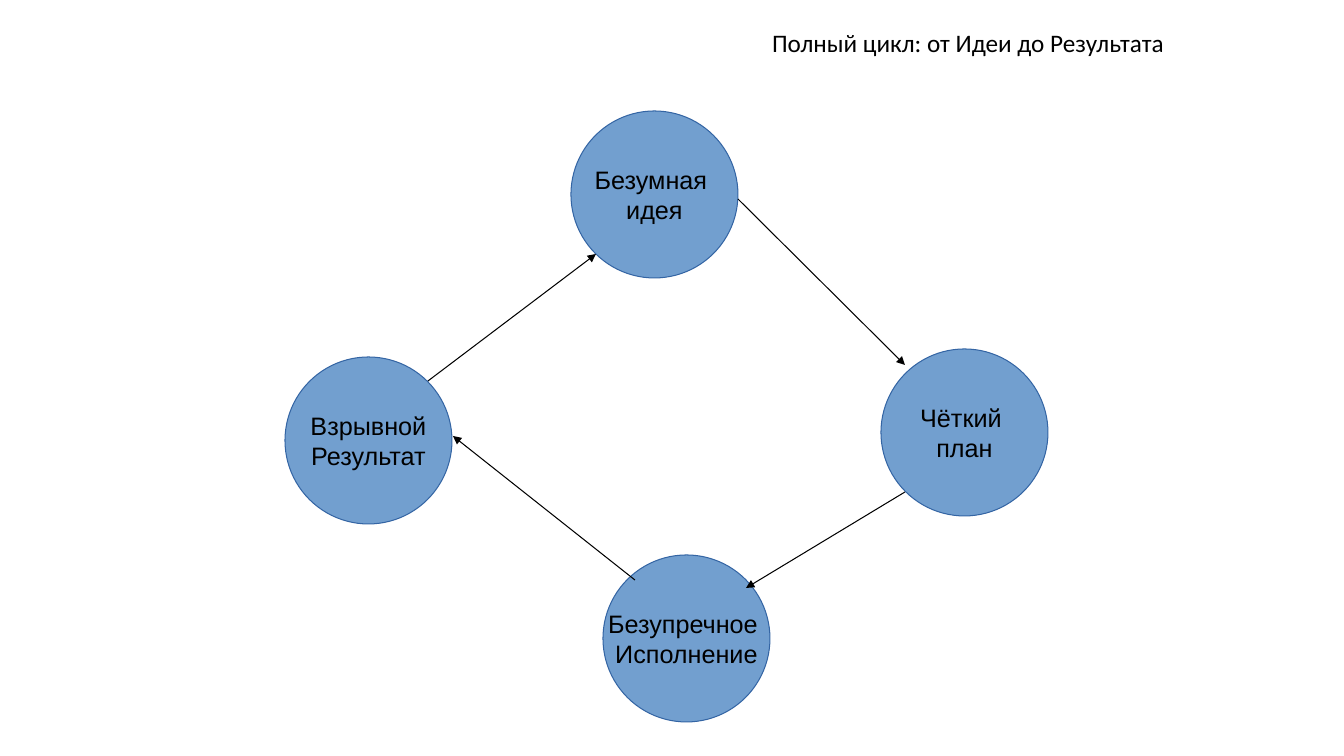
"""Builds a slide with the four-step cycle from idea to result."""
from lxml.etree import SubElement
from pptx import Presentation
from pptx.dml.color import RGBColor
from pptx.enum.shapes import MSO_CONNECTOR, MSO_SHAPE
from pptx.enum.text import MSO_ANCHOR as ANCHOR, MSO_AUTO_SIZE as AUTO_SIZE, PP_ALIGN as ALIGN
from pptx.oxml.ns import qn
from pptx.util import Pt

PX = 914400 / 100.8
BLACK = RGBColor(0x00, 0x00, 0x00)
STEP_FILL = RGBColor(0x72, 0x9F, 0xCF)
STEP_EDGE = RGBColor(0x34, 0x65, 0xA4)
DIAMETER = 167


def px(*lengths):
    return [round(length * PX) for length in lengths]


def write_text(frame, text, font="Arial", align=ALIGN.CENTER, anchor=ANCHOR.MIDDLE, wrap=False):
    frame.text = text
    frame.auto_size = AUTO_SIZE.NONE
    frame.word_wrap = wrap
    frame.vertical_anchor = anchor
    for paragraph in frame.paragraphs:
        paragraph.alignment = align
        for run in paragraph.runs:
            run.font.name = font
            run.font.size = Pt(18)
            run.font.color.rgb = BLACK


deck = Presentation()
deck.slide_width, deck.slide_height = px(1344, 756)
slide = deck.slides.add_slide(deck.slide_layouts[5])

heading = slide.shapes.title
heading.left, heading.top, heading.width, heading.height = px(762, 8, 619, 55)
write_text(heading.text_frame, "Полный цикл: от Идеи до Результата",
           font="Calibri", align=ALIGN.LEFT, anchor=ANCHOR.BOTTOM, wrap=True)

steps = [
    ("Безумная \nидея", 571, 111),
    ("Чёткий \nплан", 881, 349),
    ("Безупречное \nИсполнение", 603, 555),
    ("Взрывной\nРезультат", 285, 357),
]
for label, left, top in steps:
    step = slide.shapes.add_shape(MSO_SHAPE.OVAL, *px(left, top, DIAMETER, DIAMETER))
    step.shadow.inherit = False
    step.fill.solid()
    step.fill.fore_color.rgb = STEP_FILL
    step.line.color.rgb = STEP_EDGE
    step.line.width = Pt(0.75)
    write_text(step.text_frame, label)

transitions = [
    (905, 492, 746, 588),
    (635, 580, 453, 436),
    (428, 381, 596, 254),
    (738, 199, 905, 365),
]
for ends in transitions:
    arrow = slide.shapes.add_connector(MSO_CONNECTOR.STRAIGHT, *px(*ends))
    arrow.line.color.rgb = BLACK
    arrow.line.width = Pt(0.75)
    SubElement(arrow.line._get_or_add_ln(), qn("a:tailEnd"), type="triangle")
    SubElement(arrow._element.spPr, qn("a:effectLst"))

deck.save("out.pptx")
